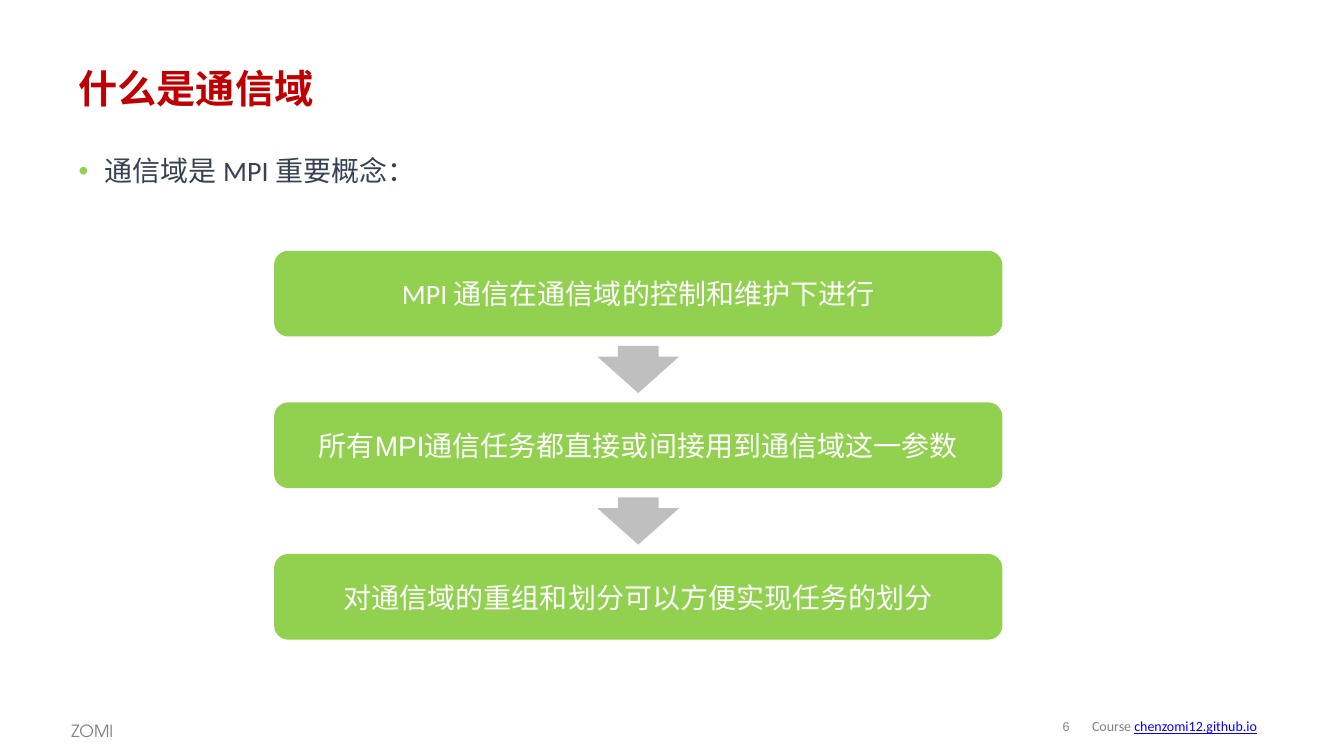
from dataclasses import dataclass

from lxml.etree import SubElement
from pptx import Presentation
from pptx.dml.color import RGBColor
from pptx.enum.lang import MSO_LANGUAGE_ID
from pptx.enum.shapes import MSO_SHAPE
from pptx.enum.text import MSO_ANCHOR, PP_ALIGN
from pptx.oxml.ns import qn
from pptx.util import Cm, Pt


@dataclass(frozen=True)
class Theme:
    title: str = "C00000"
    body: str = "374154"
    green: str = "92D050"
    arrow: str = "BFBFBF"
    white: str = "FFFFFF"
    footer: str = "808080"
    link: str = "0000FF"
    title_size: int = 28
    text_size: int = 20
    name_size: int = 12
    course_size: int = 10
    number_size: int = 9
    display_font: str = "TeX Gyre Adventor"
    text_font: str = "Calibri"
    plain_font: str = "Arial"


theme = Theme()


def add_run(paragraph, text, font_name, size, color):
    run = paragraph.add_run()
    run.text = text
    run.font.name = font_name
    run.font.size = Pt(size)
    run.font.color.rgb = RGBColor.from_string(color)
    run.font.language_id = MSO_LANGUAGE_ID.SIMPLIFIED_CHINESE
    return run


def add_text_frame(left, top, width, height, anchor=MSO_ANCHOR.MIDDLE):
    """Add a wrapping text box, measured in centimetres, and return its frame."""
    frame = slide.shapes.add_textbox(Cm(left), Cm(top), Cm(width), Cm(height)).text_frame
    frame.word_wrap = True
    frame.vertical_anchor = anchor
    return frame


prs = Presentation()
prs.slide_width, prs.slide_height = Cm(33.88), Cm(19.05)
slide = prs.slides.add_slide(prs.slide_layouts[6])

# Footer
page_number = add_text_frame(26.42, 17.93, 0.91, 0.79)
page_number.margin_left = page_number.margin_right = 0
page_number.margin_top = page_number.margin_bottom = 0
page_number.paragraphs[0].alignment = PP_ALIGN.CENTER
page_number.paragraphs[0].line_spacing = 0.85
add_run(page_number.paragraphs[0], "6", theme.plain_font, theme.number_size, theme.footer)

author = add_text_frame(1.55, 17.93, 2.03, 0.81, MSO_ANCHOR.TOP)
author.paragraphs[0].line_spacing = 1.2
add_run(author.paragraphs[0], "ZOMI", theme.display_font, theme.name_size, theme.footer)

course = add_text_frame(27.28, 17.93, 6.25, 0.74).paragraphs[0]
add_run(course, "Course ", theme.text_font, theme.course_size, theme.footer)
address = add_run(course, "chenzomi12.github.io", theme.text_font, theme.course_size, theme.link)
address.font.underline = True

# Title and lead-in
title = add_text_frame(1.73, 1.4, 30.45, 1.63).paragraphs[0]
title_run = add_run(title, "什么是通信域", theme.display_font, theme.title_size, theme.title)
title_run.font.bold = True

lead_in = add_text_frame(1.73, 3.33, 30.45, 14.33, MSO_ANCHOR.TOP).paragraphs[0]
lead_in.line_spacing = 1.5
lead_in.space_after = Pt(8)
lead_format = lead_in._p.get_or_add_pPr()
lead_format.set("marL", str(Cm(0.66)))
lead_format.set("indent", str(Cm(-0.66)))
bullet_color = SubElement(lead_format, qn("a:buClr"))
SubElement(bullet_color, qn("a:srgbClr"), val=theme.green)
SubElement(lead_format, qn("a:buFont"), typeface=theme.plain_font)
SubElement(lead_format, qn("a:buChar"), char="•")
add_run(lead_in, "通信域是 MPI 重要概念：", theme.text_font, theme.text_size, theme.body)

# Steps, with an arrow centred in each gap
steps = [
    ("MPI 通信在通信域的控制和维护下进行", theme.text_font),
    ("所有MPI通信任务都直接或间接用到通信域这一参数", theme.plain_font),
    ("对通信域的重组和划分可以方便实现任务的划分", theme.plain_font),
]
step_left, first_top, step_width, step_height, pitch = 6.91, 6.32, 18.36, 2.16, 3.82
arrow_width, arrow_height = 2.06, 1.19
arrow_left = step_left + (step_width - arrow_width) / 2
arrow_offset = (step_height + pitch - arrow_height) / 2

for index, (step_text, step_font) in enumerate(steps):
    top = first_top + index * pitch
    step = slide.shapes.add_shape(
        MSO_SHAPE.ROUNDED_RECTANGLE, Cm(step_left), Cm(top), Cm(step_width), Cm(step_height))
    parts = [(step, theme.green)]
    step.text_frame.word_wrap = True
    step.text_frame.vertical_anchor = MSO_ANCHOR.MIDDLE
    label = step.text_frame.paragraphs[0]
    label.alignment = PP_ALIGN.CENTER
    add_run(label, step_text, step_font, theme.text_size, theme.white)

    if index < len(steps) - 1:
        arrow = slide.shapes.add_shape(
            MSO_SHAPE.DOWN_ARROW, Cm(arrow_left), Cm(top + arrow_offset),
            Cm(arrow_width), Cm(arrow_height))
        arrow.adjustments[1] = 0.77
        parts.append((arrow, theme.arrow))

    for part, color in parts:
        part.shadow.inherit = False
        part.fill.solid()
        part.fill.fore_color.rgb = RGBColor.from_string(color)
        part.line.fill.background()

prs.save("out.pptx")
